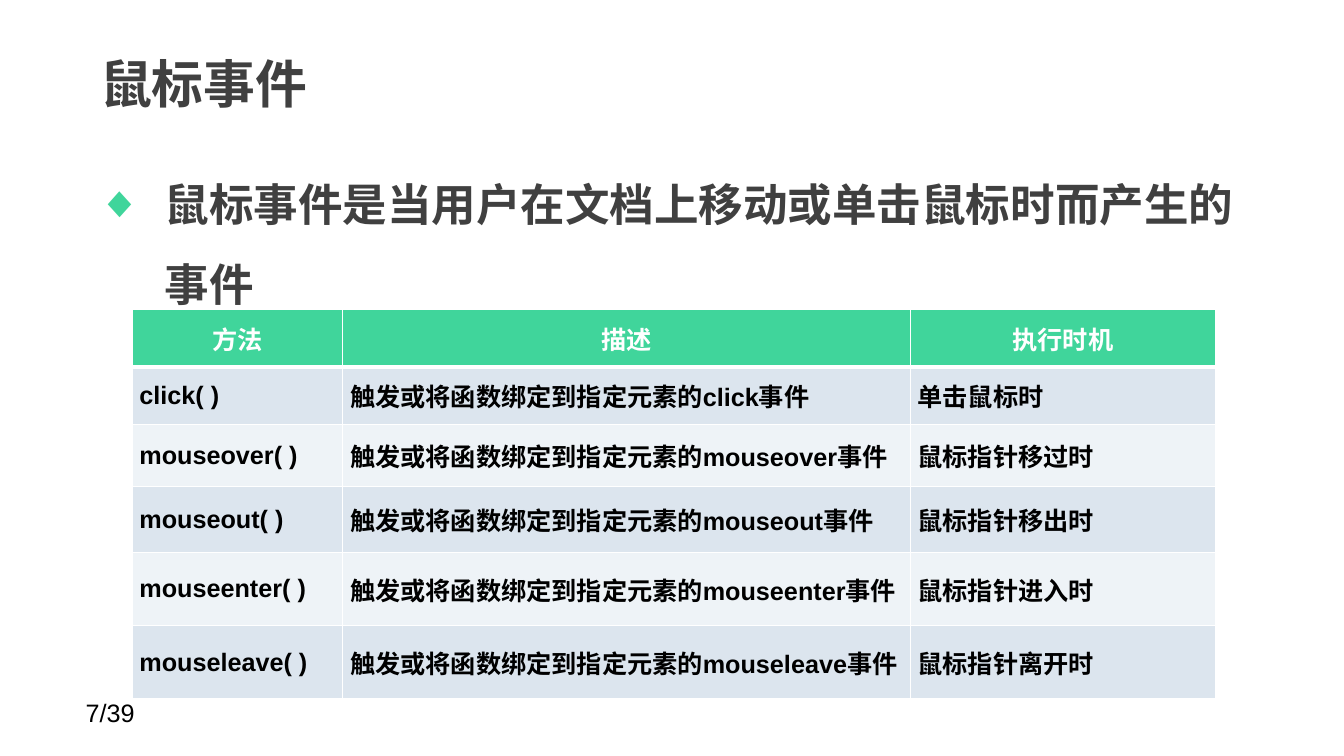
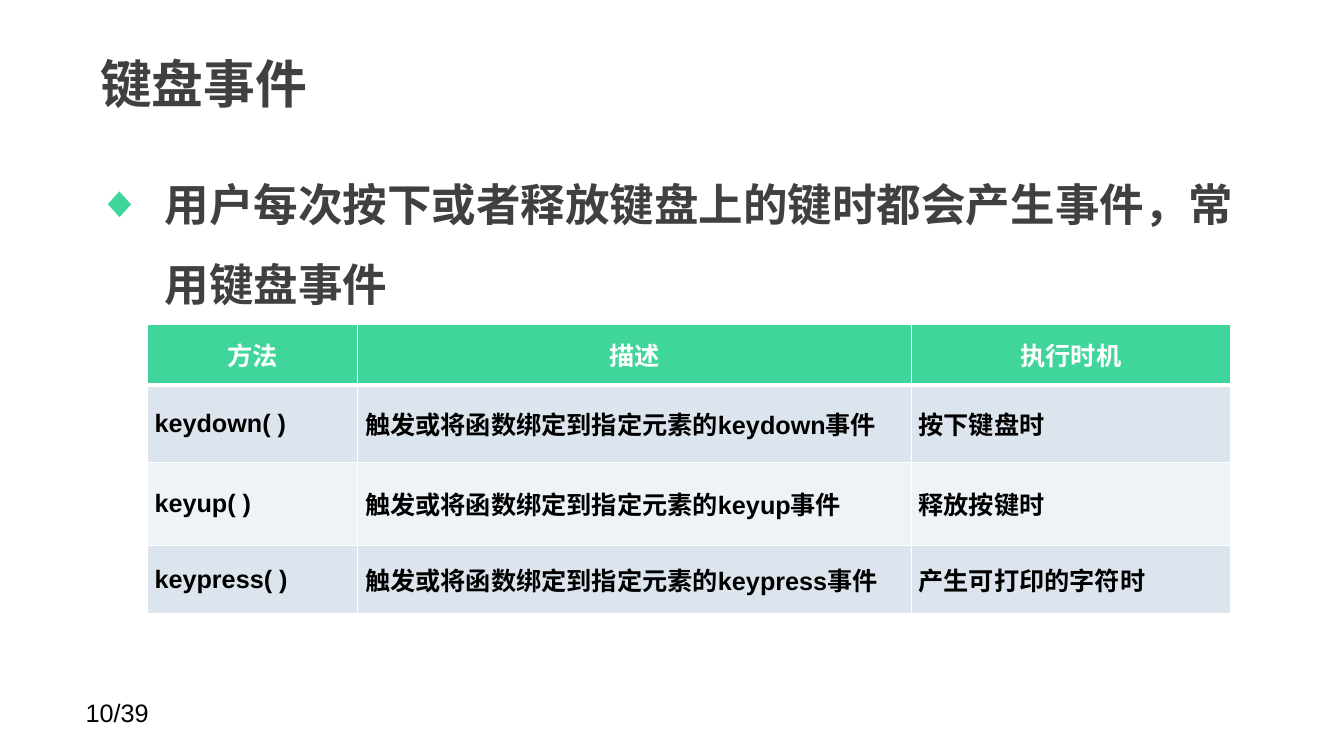
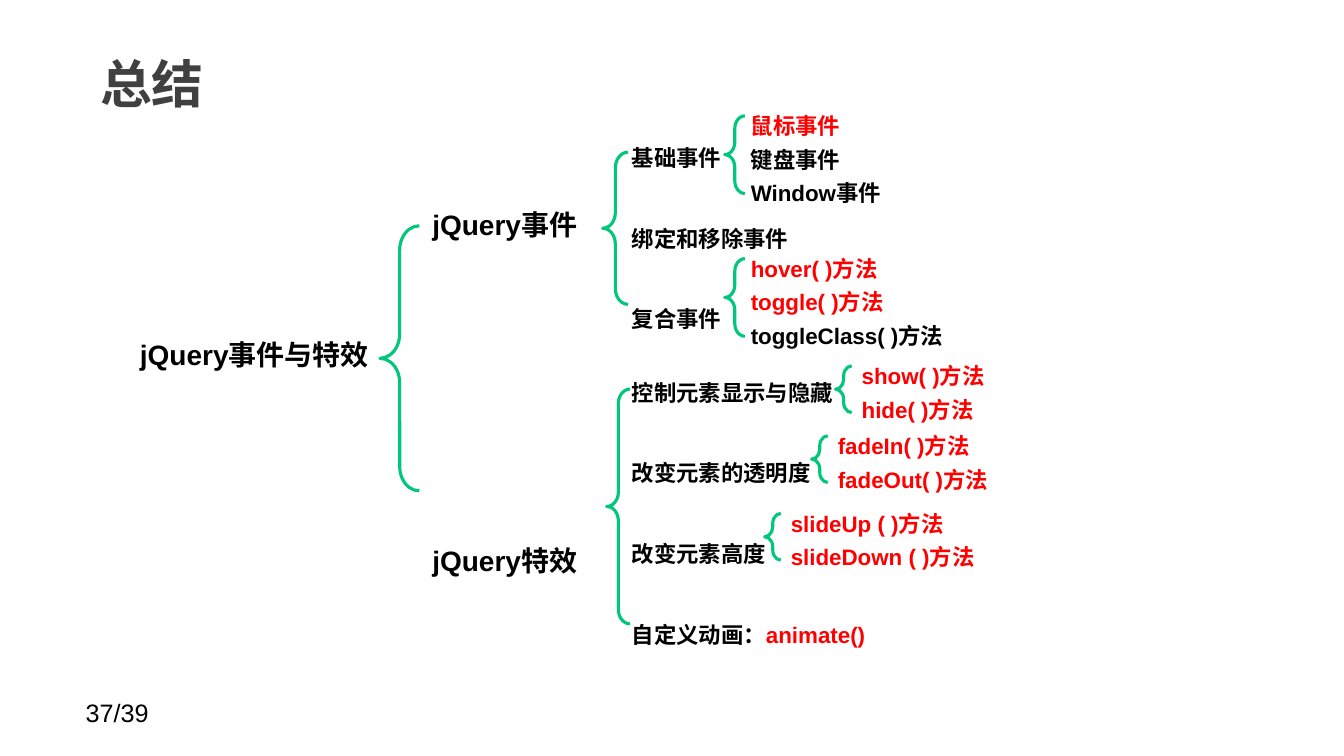
import lxml.etree
import pptx
import pptx.dml.color
import pptx.enum.shapes
import pptx.enum.text
import pptx.oxml.ns
import pptx.util

RGBColor = pptx.dml.color.RGBColor
WHITE = RGBColor(0xFF, 0xFF, 0xFF)
BLACK = RGBColor(0, 0, 0)
CHARCOAL = RGBColor(0x40, 0x40, 0x40)
RED = RGBColor(0xFF, 0, 0)
MINT = RGBColor(0x40, 0xD5, 0x9B)
GREEN = RGBColor(0, 0xC7, 0x7A)
STRIPES = (RGBColor(0xEE, 0xF3, 0xF7), RGBColor(0xDC, 0xE5, 0xEE))

LATIN, HAN = "Arial", "Noto Sans CJK SC"
COLUMNS, ROWS = 40, 22.5
CELL = pptx.util.Inches(1) // 3
PAGES = 39

PAGE_BOX = (2.25, 20.61, 7, 1.2)
TITLE_BOX = (2.58, 0.92, 31.23, 3.09)
LEAD_BOX = (2.5, 4.28, 35.07, 15.81)
HEADINGS = ("方法", "描述", "执行时机")


def grid(count):
    """Turn a number of grid cells into a length."""
    return pptx.util.Emu(round(count * CELL))


def add_element(parent, tag, **attributes):
    """Append one DrawingML element and return it."""
    return lxml.etree.SubElement(parent, pptx.oxml.ns.qn(tag), attributes)


def add_run(paragraph, words, size, color, bold=True, font=LATIN):
    """Add one formatted run with its East Asian font."""
    run = paragraph.add_run()
    run.text = words
    run.font.size = pptx.util.Pt(size)
    run.font.bold = bold
    run.font.color.rgb = color
    run.font.name = font
    add_element(run._r.get_or_add_rPr(), "a:ea", typeface=HAN)


def add_frame(slide, box, inset=(0.3, 0.15)):
    """Add a wrapping text box and return its text frame."""
    frame = slide.shapes.add_textbox(*map(grid, box)).text_frame
    frame.word_wrap = True
    frame.margin_left = frame.margin_right = grid(inset[0])
    frame.margin_top = frame.margin_bottom = grid(inset[1])
    return frame


def add_page(deck, number, heading):
    """Start a slide with its page number and title."""
    slide = deck.slides.add_slide(deck.slide_layouts[6])
    page = add_frame(slide, PAGE_BOX)
    add_run(page.paragraphs[0], f"{number}/{PAGES}", 18, BLACK, bold=False)
    title = add_frame(slide, TITLE_BOX, (0.4, 0.2))
    title.vertical_anchor = pptx.enum.text.MSO_ANCHOR.MIDDLE
    add_run(title.paragraphs[0], heading, 37, CHARCOAL, font=HAN)
    return slide


def add_lead(slide, words):
    """Add the bulleted introduction."""
    paragraph = add_frame(slide, LEAD_BOX, (0.4, 0.2)).paragraphs[0]
    paragraph.line_spacing = 1.5
    paragraph.space_before = pptx.util.Pt(6.4)
    properties = paragraph._p.get_or_add_pPr()
    properties.set("marL", str(grid(2)))
    properties.set("indent", str(-grid(2)))
    tint = add_element(properties, "a:buClr")
    add_element(tint, "a:srgbClr", val=str(MINT))
    add_element(properties, "a:buFont", typeface=LATIN)
    add_element(properties, "a:buChar", char="◆")
    add_run(paragraph, words, 31.8, CHARCOAL, font=HAN)


def add_borders(cell, top, bottom):
    """Draw white borders, with top and bottom widths in points."""
    properties = cell._tc.get_or_add_tcPr()
    for side, width in (("L", 1), ("R", 1), ("T", top), ("B", bottom)):
        line = add_element(properties, f"a:ln{side}", w=str(pptx.util.Pt(width)))
        fill = add_element(line, "a:solidFill")
        add_element(fill, "a:srgbClr", val=str(WHITE))


def fill_cell(cell, words, row):
    """Style one cell by its row and write its words."""
    header = row == 0
    add_borders(cell, 3 if row == 1 else 1, 3 if header else 1)
    cell.fill.solid()
    cell.fill.fore_color.rgb = MINT if header else STRIPES[row % 2]
    cell.vertical_anchor = pptx.enum.text.MSO_ANCHOR.MIDDLE
    cell.margin_left = cell.margin_right = grid(0.22)
    cell.margin_top = cell.margin_bottom = 0
    paragraph = cell.text_frame.paragraphs[0]
    paragraph.space_before = pptx.util.Pt(3.6)
    if header:
        paragraph.alignment = pptx.enum.text.PP_ALIGN.CENTER
    add_run(paragraph, words, 18, WHITE if header else BLACK)


def add_event_table(slide, corner, widths, heights, events):
    """Add the table of event methods at the given corner."""
    records = [HEADINGS] + [
        (f"{event}( )", f"触发或将函数绑定到指定元素的{event}事件", moment)
        for event, moment in events
    ]
    box = (*corner, sum(widths), sum(heights))
    table = slide.shapes.add_table(
        len(records), len(widths), *map(grid, box)).table
    for column, width in zip(table.columns, widths):
        column.width = grid(width)
    for row, (height, record) in enumerate(zip(heights, records)):
        table.rows[row].height = grid(height)
        for column, words in enumerate(record):
            fill_cell(table.cell(row, column), words, row)


def add_brace(slide, box):
    """Draw a left brace that fills the box."""
    brace = slide.shapes.add_shape(
        pptx.enum.shapes.MSO_SHAPE.LEFT_BRACE, *map(grid, box))
    brace.adjustments[0] = 0.62
    brace.adjustments[1] = 0.5
    brace.shadow.inherit = False
    brace.fill.background()
    brace.line.color.rgb = GREEN
    brace.line.width = pptx.util.Pt(2.25)


def add_topics(slide, box, topics, size, spacing):
    """List topics, each a series of words and colours, below one another."""
    frame = add_frame(slide, box)
    for index, topic in enumerate(topics):
        paragraph = frame.add_paragraph() if index else frame.paragraphs[0]
        if index:
            paragraph.line_spacing = spacing
        for words, color in topic:
            add_run(paragraph, words, size, color)
    return frame


def add_leaves(slide, left, top, leaves):
    """Add a small brace and its leaves, one grid row each."""
    count = len(leaves)
    add_brace(slide, (left, top, 0.24 + 0.12 * count, 0.92 * count - 0.45))
    box = (left + 0.48, top - 0.46, 6.8, count + 0.3)
    frame = add_topics(slide, box, [[leaf] for leaf in leaves], 16, None)
    for paragraph in frame.paragraphs:
        paragraph.line_spacing = pptx.util.Pt(24)


def add_summary(slide):
    """Draw the summary tree from its root to its leaves."""
    root = add_topics(slide, (3.63, 9.9, 7.89, 1.32),
                      [[("jQuery事件与特效", BLACK)]], 20, 1)
    root.paragraphs[0].alignment = pptx.enum.text.PP_ALIGN.CENTER
    branches = (
        ((11.31, 6.72, 1.17, 7.89), (12.57, 6.03, 7, 11.4), 20, 9.99,
         [[("jQuery事件", BLACK)], [("jQuery特效", BLACK)]]),
        ((17.94, 4.53, 0.75, 4.53), (18.51, 4.14, 5.28, 5.97), 16, 3,
         [[("基础事件", BLACK)], [("绑定和移除事件", BLACK)],
          [("复合事件", BLACK)]]),
        ((18.06, 11.58, 0.69, 6.99), (18.51, 11.13, 8.16, 8.37), 16, 3,
         [[("控制元素显示与隐藏", BLACK)], [("改变元素的透明度", BLACK)],
          [("改变元素高度", BLACK)],
          [("自定义动画：", BLACK), ("animate()", RED)]]),
    )
    for brace_box, topic_box, size, spacing, topics in branches:
        add_brace(slide, brace_box)
        add_topics(slide, topic_box, topics, size, spacing)
    twigs = (
        (21.57, 3.45, [("鼠标事件", RED), ("键盘事件", BLACK),
                       ("Window事件", BLACK)]),
        (21.57, 7.7, [("hover( )方法", RED), ("toggle( )方法", RED),
                      ("toggleClass( )方法", BLACK)]),
        (24.87, 10.89, [("show( )方法", RED), ("hide( )方法", RED)]),
        (24.16, 12.97, [("fadeIn( )方法", RED), ("fadeOut( )方法", RED)]),
        (22.76, 15.28, [("slideUp ( )方法", RED), ("slideDown ( )方法", RED)]),
    )
    for left, top, leaves in twigs:
        add_leaves(slide, left, top, leaves)


def main():
    """Build and save the slides."""
    deck = pptx.Presentation()
    deck.slide_width, deck.slide_height = grid(COLUMNS), grid(ROWS)

    mouse = add_page(deck, 7, "鼠标事件")
    add_lead(mouse, "鼠标事件是当用户在文档上移动或单击鼠标时而产生的事件")
    add_event_table(
        mouse, (3.93, 9.21), (6.27, 16.89, 9.09),
        (1.71, 1.71, 1.86, 1.96, 2.18, 2.18),
        (("click", "单击鼠标时"), ("mouseover", "鼠标指针移过时"),
         ("mouseout", "鼠标指针移出时"), ("mouseenter", "鼠标指针进入时"),
         ("mouseleave", "鼠标指针离开时")))

    keyboard = add_page(deck, 10, "键盘事件")
    add_lead(keyboard, "用户每次按下或者释放键盘上的键时都会产生事件，常用键盘事件")
    add_event_table(
        keyboard, (4.38, 9.66), (6.27, 16.47, 9.51),
        (1.8, 2.31, 2.46, 2.04),
        (("keydown", "按下键盘时"), ("keyup", "释放按键时"),
         ("keypress", "产生可打印的字符时")))

    add_summary(add_page(deck, 37, "总结"))
    deck.save("out.pptx")


if __name__ == "__main__":
    main()
